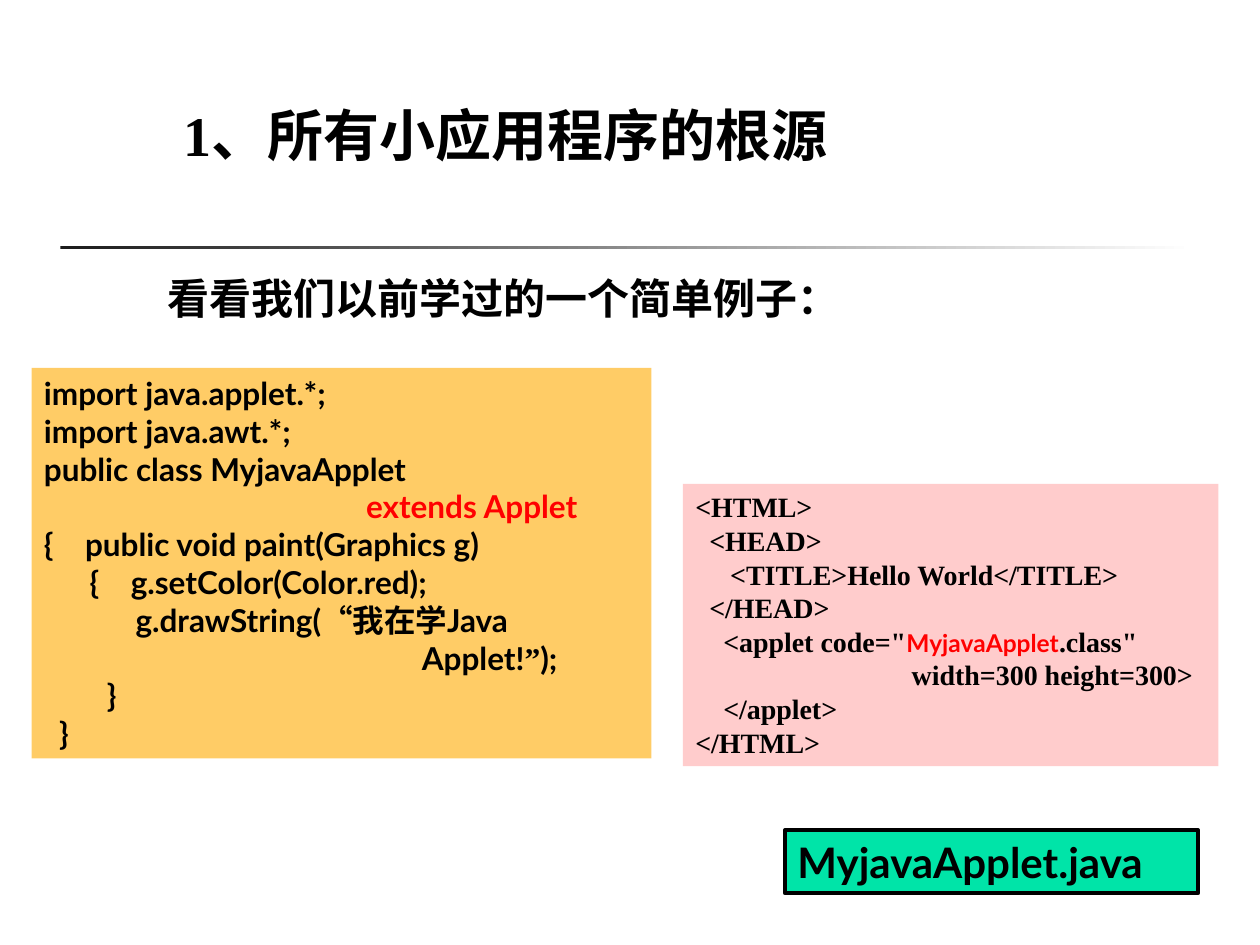
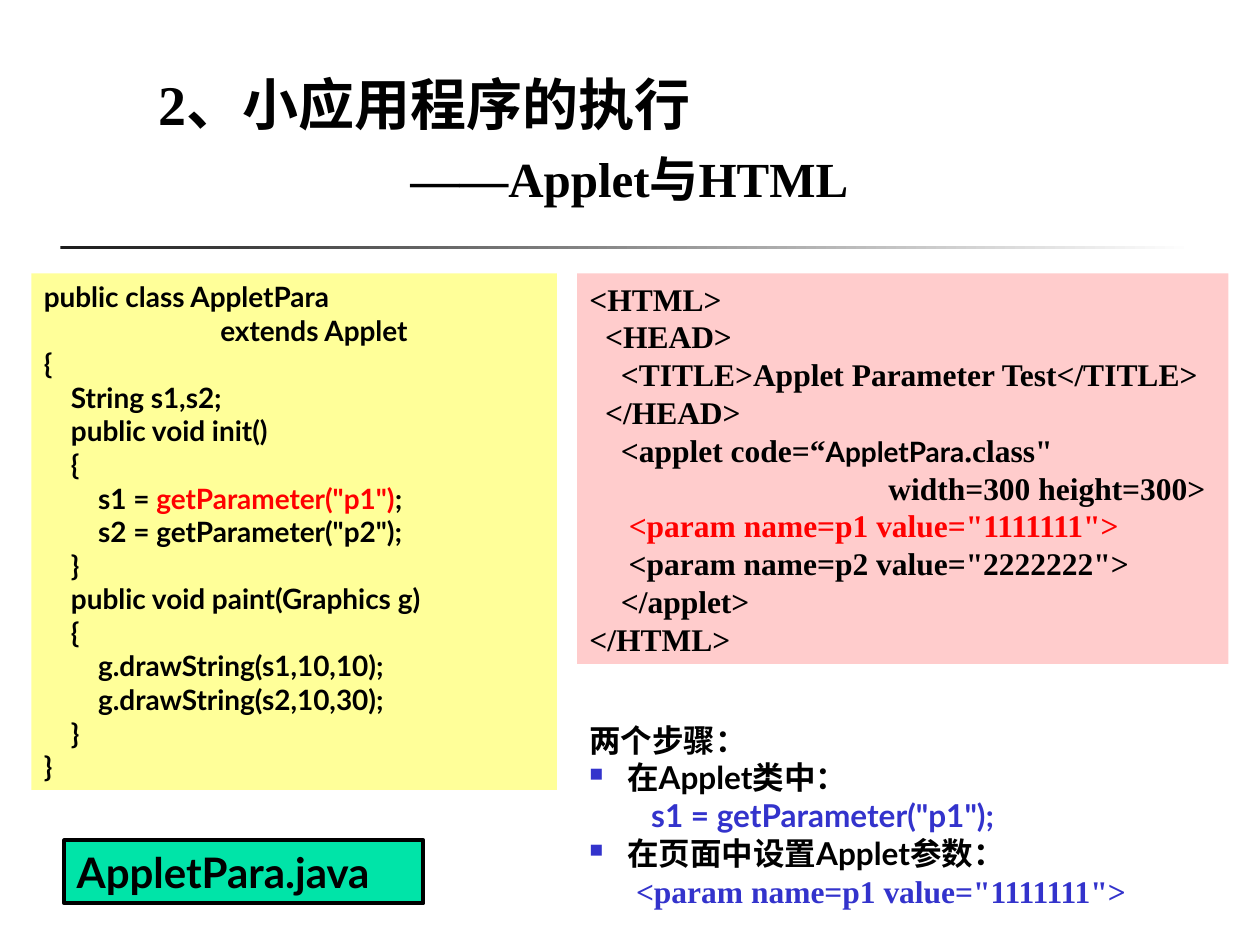
from lxml.etree import SubElement
from pptx import Presentation
from pptx.dml.color import RGBColor
from pptx.enum.shapes import MSO_SHAPE as Shape
from pptx.enum.text import MSO_ANCHOR as Anchor, PP_ALIGN as Align
from pptx.oxml.ns import qn
from pptx.util import Inches, Pt

COLORS = {
    "ink": "000000",
    "rule": "1C1C1C",
    "paper": "FFFFFF",
    "red": "FF0000",
    "blue": "3333CC",
    "orange": "FFCC66",
    "yellow": "FFFF99",
    "pink": "FFCCCC",
    "green": "00E4A8",
}
SANS = "Lato"
SERIF = "Times New Roman"
LINE_RATIO = 1.2
BULLET_INDENT = 0.3


def rgb(name):
    return RGBColor.from_string(COLORS[name])


class Deck:
    def __init__(self):
        self.presentation = Presentation()
        self.presentation.slide_width = Inches(10)
        self.presentation.slide_height = Inches(7.5)
        self.slide = None

    def add_slide(self):
        self.slide = self.presentation.slides.add_slide(self.presentation.slide_layouts[6])
        rule = self.rectangle(0.48, 1.95, 9, 0.03)
        rule.fill.gradient()
        rule.fill.gradient_angle = 0
        for stop, color in zip(rule.fill.gradient_stops, ("rule", "paper")):
            stop.color.rgb = rgb(color)

    def rectangle(self, left, top, width, height):
        shape = self.slide.shapes.add_shape(
            Shape.RECTANGLE, Inches(left), Inches(top), Inches(width), Inches(height))
        shape.shadow.inherit = False
        shape.line.fill.background()
        return shape

    def text(self, left, top, width, height, paragraphs, size, font=SANS):
        box = self.slide.shapes.add_textbox(
            Inches(left), Inches(top), Inches(width), Inches(height))
        self.fill_text(box, paragraphs, size, font)

    def panel(self, left, top, width, height, color, paragraphs, size, font=SANS):
        shape = self.rectangle(left, top, width, height)
        shape.fill.solid()
        shape.fill.fore_color.rgb = rgb(color)
        self.fill_text(shape, paragraphs, size, font)
        return shape

    def file_label(self, left, top, width, name):
        label = self.panel(left, top, width, 0.5, "green", [name], 24)
        label.line.color.rgb = rgb("ink")
        label.line.width = Pt(2.25)

    def fill_text(self, shape, paragraphs, size, font):
        frame = shape.text_frame
        frame.word_wrap = True
        frame.vertical_anchor = Anchor.TOP
        for index, content in enumerate(paragraphs):
            paragraph = frame.paragraphs[0] if index == 0 else frame.add_paragraph()
            layout = content if isinstance(content, dict) else {"runs": content}
            self.format_paragraph(paragraph, layout, layout.get("size", size))
            runs = layout["runs"]
            for run in [runs] if isinstance(runs, str) else runs:
                words, style = (run, {}) if isinstance(run, str) else run
                self.add_run(paragraph, words,
                             {"size": layout.get("size", size), "name": font, **style})

    def format_paragraph(self, paragraph, layout, size):
        values = {
            "alignment": Align.LEFT,
            "line_spacing": Pt(size * LINE_RATIO),
            "space_before": Pt(layout.get("before", 0)),
        }
        for attribute, value in values.items():
            setattr(paragraph, attribute, value)
        properties = paragraph._p.get_or_add_pPr()
        properties.set("marL", str(Inches(layout.get("margin", 0))))
        if layout.get("bullet"):
            properties.set("indent", str(-Inches(BULLET_INDENT)))
            color = SubElement(properties, qn("a:buClr"))
            SubElement(color, qn("a:srgbClr"), val=COLORS["blue"])
            SubElement(properties, qn("a:buSzPct"), val="60000")
            SubElement(properties, qn("a:buChar"), char="■")

    def add_run(self, paragraph, words, style):
        run = paragraph.add_run()
        run.text = words
        values = {"name": style["name"], "size": Pt(style["size"]), "bold": True}
        for attribute, value in values.items():
            setattr(run.font, attribute, value)
        run.font.color.rgb = rgb(style.get("color", "ink"))


RED = {"color": "red"}
BLUE = {"color": "blue"}


def bullet(words):
    return {"runs": words, "bullet": True, "margin": BULLET_INDENT}


def root_slide(deck):
    deck.add_slide()
    deck.text(1.36, 0.75, 7, 0.64, ["1、所有小应用程序的根源"], 32, SERIF)
    deck.text(1.23, 2.11, 7, 0.5, ["看看我们以前学过的一个简单例子："], 24)
    deck.panel(0.25, 2.92, 4.92, 3.1, "orange", [
        "import java.applet.*;",
        "import java.awt.*;",
        "public class MyjavaApplet",
        ["　　　　　　　　　　 ", ("extends Applet", RED)],
        "{　public void paint(Graphics g)",
        " 　 {　g.setColor(Color.red);",
        ["   　 　g.drawString(", ("“", {"name": SERIF}), "我在学Java"],
        ["　　　　　　　　　　　　Applet!", ("”", {"name": SERIF}), ");"],
        "　　}",
        "  }",
    ], 18)
    deck.panel(5.42, 3.84, 4.25, 2.24, "pink", [
        "<HTML>",
        "  <HEAD>",
        "     <TITLE>Hello World</TITLE>",
        "  </HEAD>",
        ['    <applet code="',
         ("MyjavaApplet", {"size": 14, "name": SANS, **RED}), '.class"'],
        "                               width=300 height=300>",
        "    </applet>",
        "</HTML>",
    ], 16, SERIF)
    deck.file_label(6.23, 6.59, 3.28, "MyjavaApplet.java")


def execution_slide(deck):
    deck.add_slide()
    deck.text(1.16, 0.5, 7, 1.2, [
        "2、小应用程序的执行",
        {"runs": "——Applet与HTML", "size": 28, "before": 7, "margin": 2},
    ], 32, SERIF)
    deck.panel(0.25, 2.17, 4.17, 4.1, "yellow", [
        "public class AppletPara",
        "                          extends Applet",
        "{",
        "    String s1,s2;",
        "    public void init()",
        "    {",
        ["        s1 = ", ('getParameter("p1")', RED), ";"],
        '        s2 = getParameter("p2");',
        "    }",
        "    public void paint(Graphics g)",
        "    {",
        "        g.drawString(s1,10,10);",
        "        g.drawString(s2,10,30);",
        "    }",
        "}",
    ], 16)
    deck.panel(4.58, 2.17, 5.17, 3.1, "pink", [
        "<HTML>",
        "  <HEAD>",
        "    <TITLE>Applet Parameter Test</TITLE>",
        "  </HEAD>",
        ["    <applet code=“", ("AppletPara", {"size": 16, "name": SANS}), '.class"'],
        "                                      width=300 height=300>",
        ["     ", ('<param name=p1 value="1111111">', RED)],
        '     <param name=p2 value="2222222">',
        "    </applet>",
        "</HTML>",
    ], 18, SERIF)
    deck.text(4.58, 5.67, 5, 1.6, [
        "两个步骤：",
        bullet("在Applet类中："),
        {"runs": [('s1 = getParameter("p1");', BLUE)], "margin": 0.49},
        bullet("在页面中设置Applet参数："),
        {"runs": [('<param name=p1 value="1111111">', {"name": SERIF, **BLUE})],
         "margin": 0.37},
    ], 18)
    deck.file_label(0.51, 6.67, 2.85, "AppletPara.java")


def main():
    deck = Deck()
    root_slide(deck)
    execution_slide(deck)
    deck.presentation.save("out.pptx")


if __name__ == "__main__":
    main()
